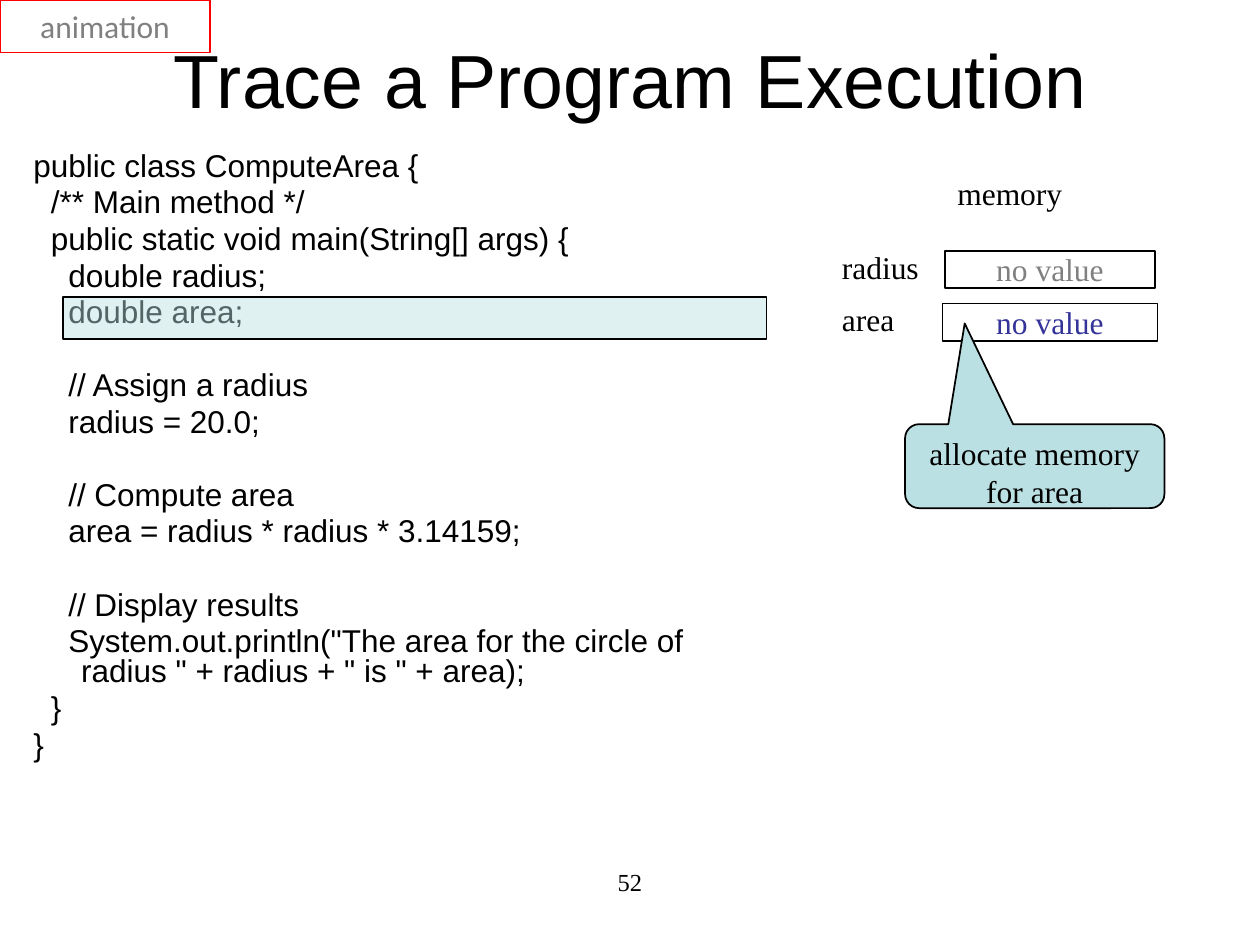
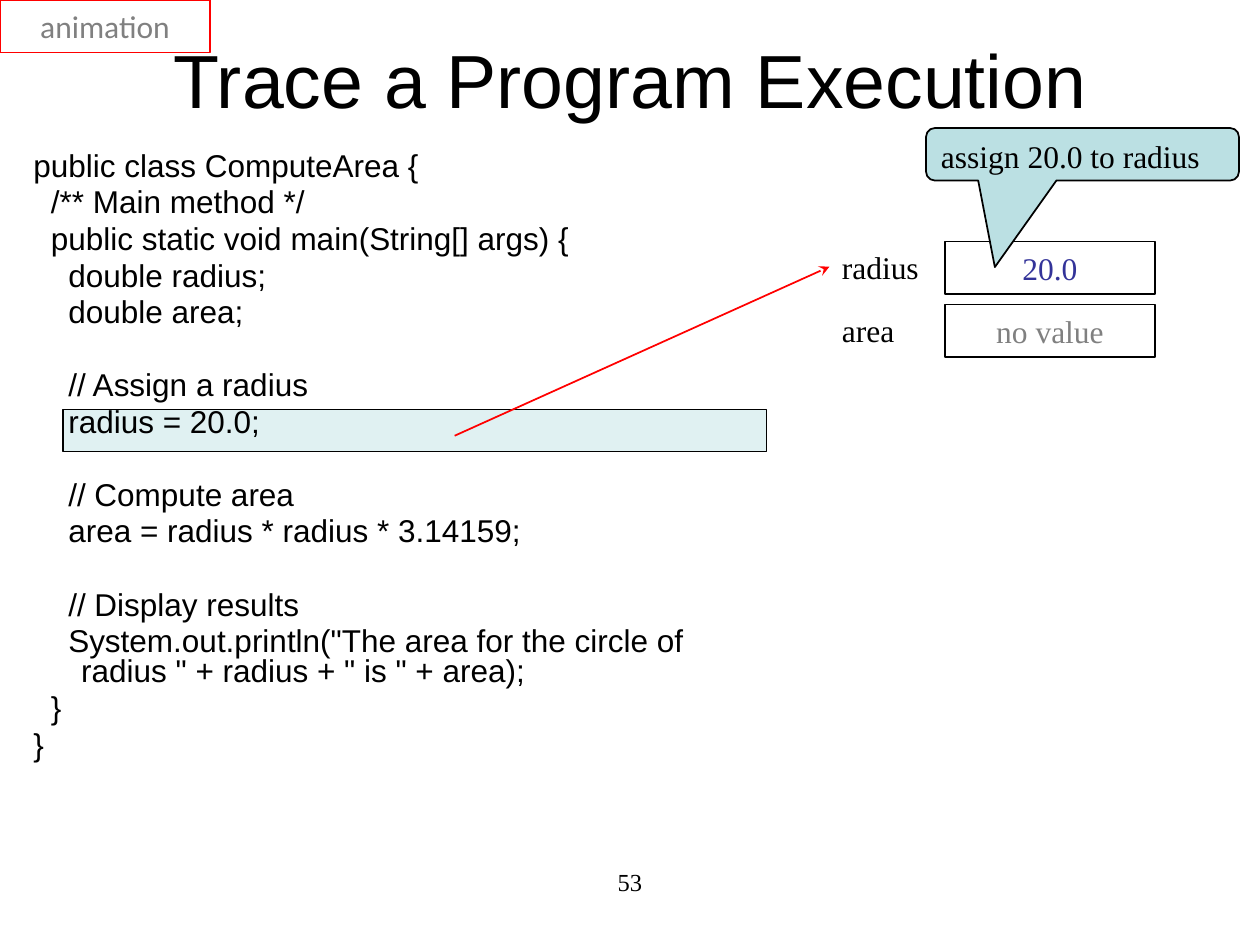
from lxml.etree import SubElement
from pptx import Presentation
from pptx.dml.color import RGBColor
from pptx.enum.shapes import MSO_CONNECTOR as CONNECTOR, MSO_SHAPE as SHAPE
from pptx.enum.text import MSO_ANCHOR as ANCHOR, MSO_AUTO_SIZE as AUTO_SIZE, PP_ALIGN as ALIGN
from pptx.oxml.ns import qn
from pptx.util import Inches, Pt

BLACK, GREY, RED, BLUE, AQUA = "000000", "808080", "FF0000", "333399", "BBE0E3"
SERIF, SANS, TAG_FONT = "Times New Roman", "Arial", "Calibri"
COLUMNS, ROWS = 120, 90
LABEL_COLUMN, LABEL_WIDTH, LABEL_HEIGHT = 79, 11, 4.8
LINE_GAP, BLANK_LINE = 3.6, 20.9
CODE = """public class ComputeArea {
  /** Main method */
  public static void main(String[] args) {
    double radius;
    double area;

    // Assign a radius
    radius = 20.0;

    // Compute area
    area = radius * radius * 3.14159;

    // Display results
    System.out.println("The area for the circle of radius " + radius + " is " + area);
  }
}"""

presentation = Presentation()
presentation.slide_width, presentation.slide_height = Inches(10), Inches(7.5)
column = presentation.slide_width / COLUMNS
row = presentation.slide_height / ROWS
colour = RGBColor.from_string


def write(shape, text, font=SERIF, size=18, color=BLACK, align=ALIGN.LEFT,
          anchor=ANCHOR.TOP, wrap=True, inset=None):
    frame = shape.text_frame
    frame.auto_size = AUTO_SIZE.NONE
    frame.word_wrap, frame.vertical_anchor = wrap, anchor
    if inset is not None:
        frame.margin_left = frame.margin_right = Inches(inset)
        frame.margin_top = frame.margin_bottom = Inches(inset)
    frame.text = text
    for paragraph in frame.paragraphs:
        paragraph.alignment = align
        paragraph.font.name, paragraph.font.size = font, Pt(size)
        paragraph.font.color.rgb = colour(color)


def add_box(slide, place, kind=None, line=BLACK, fill=None, opacity=None):
    left, top, width, height = place
    bounds = [int(left * column), int(top * row), int(width * column), int(height * row)]
    if kind is None:
        return slide.shapes.add_textbox(*bounds)
    shape = slide.shapes.add_shape(kind, *bounds)
    shape.shadow.inherit = False
    shape.line.color.rgb, shape.line.width = colour(line), Pt(1)
    if fill is None:
        shape.fill.background()
    else:
        shape.fill.solid()
        shape.fill.fore_color.rgb = colour(fill)
    if opacity is not None:
        fill_color = shape.fill._xPr.find(qn("a:solidFill"))[0]
        SubElement(fill_color, qn("a:alpha")).set("val", str(opacity * 1000))
    return shape


steps = [
    {"number": "52", "highlight_row": 28.3, "heading": "memory", "inset": 0.01, "arrow": False,
     "variables": [("radius", 23, (90, 23.9, 20, 3.5), "no value", GREY),
                   ("area", 28, (89.75, 28.9, 20.5, 3.6), "no value", BLUE)],
     "callout": ("allocate memory for area", (86.2, 40.4, 24.7, 8), (-0.27, -1.7), ALIGN.CENTER)},
    {"number": "53", "highlight_row": 39, "heading": None, "inset": None, "arrow": True,
     "variables": [("radius", 23, (90, 23, 20, 5), "20.0", BLUE),
                   ("area", 29, (90, 29, 20, 5), "no value", GREY)],
     "callout": ("assign 20.0 to radius", (88.2, 12.2, 29.8, 5), (-0.28, 2.15), ALIGN.LEFT)},
]
centred = {"align": ALIGN.CENTER, "anchor": ANCHOR.MIDDLE, "wrap": False}

for step in steps:
    slide = presentation.slides.add_slide(presentation.slide_layouts[5])
    title = slide.shapes.title
    title.left, title.top = int(9 * column), int(4 * row)
    title.width, title.height = int(102 * column), int(7 * row)
    write(title, "Trace a Program Execution", font=SANS, size=43,
          align=ALIGN.CENTER, anchor=ANCHOR.MIDDLE)

    number = add_box(slide, (41, 82, 38, 6.2))
    write(number, step["number"], size=14, align=ALIGN.CENTER)

    highlight_place = (6, step["highlight_row"], 67, 4)
    if step["arrow"]:
        add_box(slide, highlight_place, SHAPE.RECTANGLE, fill=AQUA, opacity=45)

    code = add_box(slide, (2, 14, 73, 68))
    write(code, CODE.replace("\n\n", "\n"), font=SANS)
    after_blank = [block.split("\n")[0] for block in CODE.split("\n\n")[1:]]
    for index, paragraph in enumerate(code.text_frame.paragraphs):
        paragraph.line_spacing = 0.8
        if index:
            blank = BLANK_LINE if paragraph.text in after_blank else 0
            paragraph.space_before = Pt(LINE_GAP + blank)
        properties = paragraph._p.get_or_add_pPr()
        properties.set("marL", str(Inches(0.38)))
        properties.set("indent", str(-Inches(0.38)))

    if not step["arrow"]:
        add_box(slide, highlight_place, SHAPE.RECTANGLE, fill=AQUA, opacity=45)
    if step["heading"]:
        write(add_box(slide, (90, 16, 19, LABEL_HEIGHT)), step["heading"])

    labels = {}
    for name, label_row, value_place, value, value_color in step["variables"]:
        value_box = add_box(slide, value_place, SHAPE.RECTANGLE)
        write(value_box, value, color=value_color, inset=step["inset"], **centred)
        labels[name] = add_box(slide, (LABEL_COLUMN, label_row, LABEL_WIDTH, LABEL_HEIGHT))
        write(labels[name], name)

    message, callout_place, tip, align = step["callout"]
    callout = add_box(slide, callout_place, SHAPE.ROUNDED_RECTANGULAR_CALLOUT, fill=AQUA)
    callout.adjustments[0], callout.adjustments[1] = tip
    write(callout, message, align=align)

    if step["arrow"]:
        arrow = slide.shapes.add_connector(
            CONNECTOR.STRAIGHT, int(43.3 * column), int(41.5 * row),
            int(LABEL_COLUMN * column), int(25.4 * row))
        arrow.end_connect(labels["radius"], 1)
        arrow.line.color.rgb, arrow.line.width = colour(RED), Pt(1)
        SubElement(arrow.line._get_or_add_ln(), qn("a:tailEnd")).set("type", "stealth")
        SubElement(arrow._element.spPr, qn("a:effectLst"))

    tag = add_box(slide, (0, 0, 20, 5), SHAPE.RECTANGLE, line=RED)
    write(tag, "animation", font=TAG_FONT, color=GREY, **centred)

presentation.save("out.pptx")
